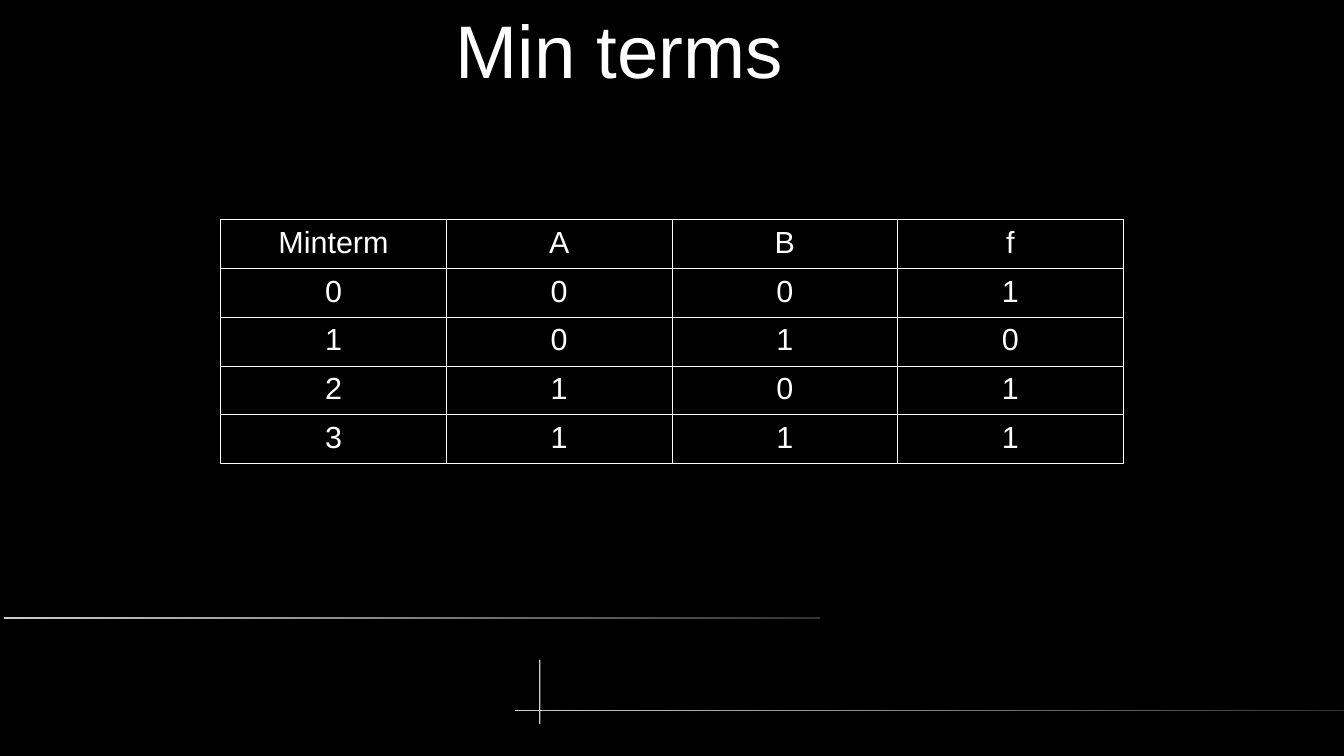
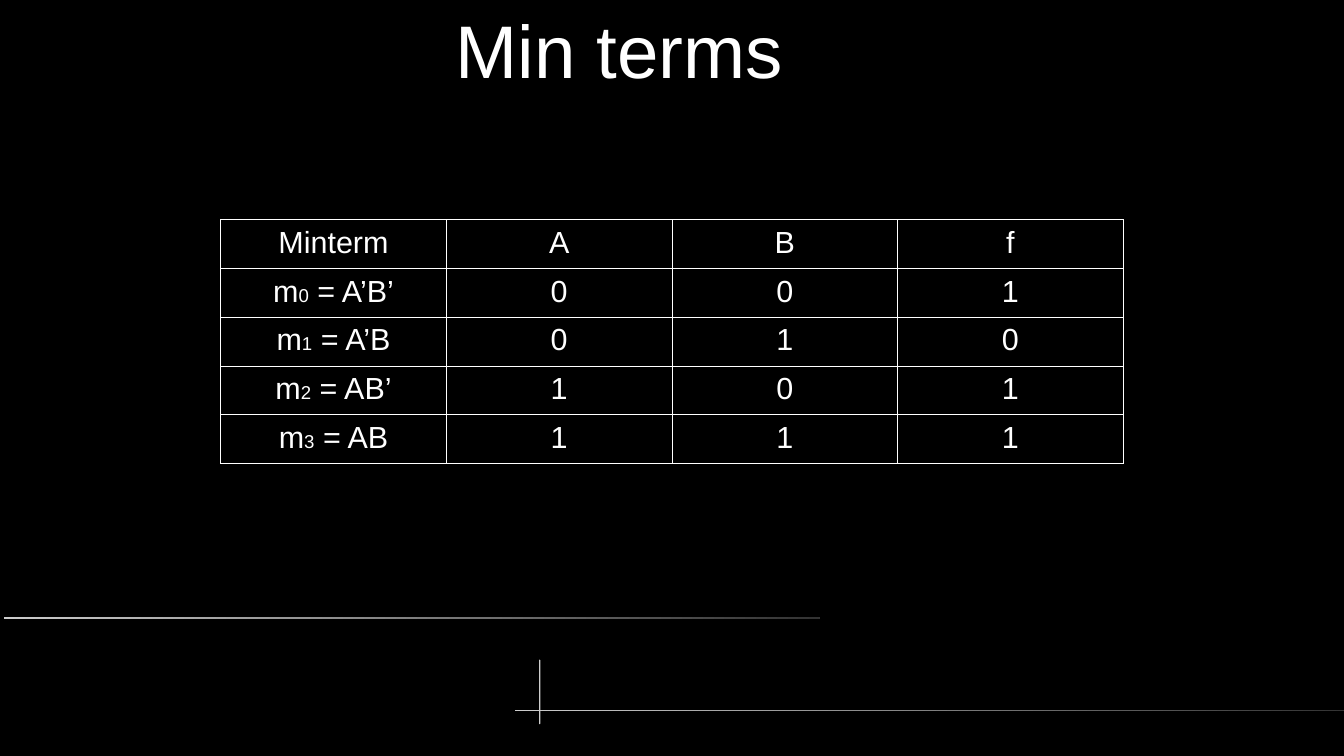
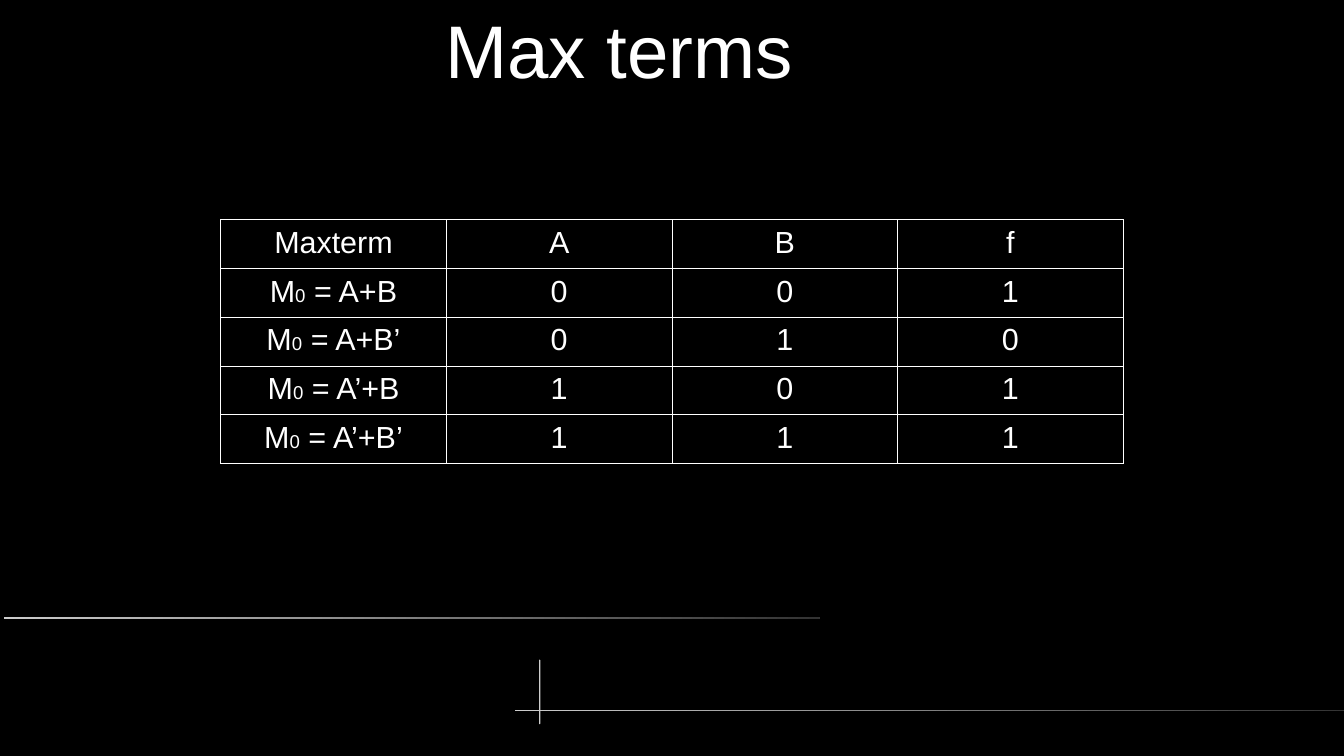
from pptx import Presentation
from pptx.dml.color import RGBColor
from pptx.enum.shapes import MSO_SHAPE
from pptx.enum.text import MSO_ANCHOR, PP_ALIGN
from pptx.oxml import parse_xml
from pptx.oxml.ns import nsdecls
from pptx.util import Inches, Pt

# Content: title, term heading, terms; a term is a list of runs, the second a small index
INPUTS = [("0", "0"), ("0", "1"), ("1", "0"), ("1", "1")]
OUTPUTS = ["1", "0", "1", "1"]
SLIDES = [
    ("Min terms", "Minterm", [["0"], ["1"], ["2"], ["3"]]),
    ("Min terms", "Minterm", [["m", "0", " = A’B’"], ["m", "1", " = A’B"],
                              ["m", "2", " = AB’"], ["m", "3", " = AB"]]),
    ("Max terms", "Maxterm", [["M", "0", " = A+B"], ["M", "0", " = A+B’"],
                              ["M", "0", " = A’+B"], ["M", "0", " = A’+B’"]]),
]

# Shared style
COLORS = {"back": "000000", "text": "FFFFFF", "bright": "CCCCCC", "dim": "333333"}
FONT = "Arial"
SIZES = {"title": 44, "cell": 18, "index": 11}
W, H = 11.02, 6.2
TITLE_BOX = (0.16, 0.04, 9.84, 0.72)
COL_W, ROW_H, TABLE_TOP = 1.85, 0.4, 1.8
BORDER_PT = 0.57
CELL_MARGINS = {"margin_left": 0.04, "margin_right": 0.04,
                "margin_top": 0.05, "margin_bottom": 0.05}
# Decorative bars: box, whether the bar fades to the right
BARS = [((0.03, 5.06, 6.69, 0.02), True),
        ((4.22, 5.82, 6.82, 0.01), True),
        ((4.42, 5.41, 0.01, 0.53), False)]


def rgb(name):
    return RGBColor.from_string(COLORS[name])


def inches(box):
    return [Inches(v) for v in box]


def write(tf, runs):
    """Fill a text frame with one centred paragraph of (text, size) runs."""
    p = tf.paragraphs[0]
    p.alignment = PP_ALIGN.CENTER
    for text, size in runs:
        r = p.add_run()
        r.text = text
        r.font.color.rgb = rgb("text")
        for name, value in {"name": FONT, "size": Pt(SIZES[size]), "bold": False}.items():
            setattr(r.font, name, value)


def add_bars(s):
    for box, fades in BARS:
        bar = s.shapes.add_shape(MSO_SHAPE.ROUNDED_RECTANGLE, *inches(box))
        bar.adjustments[0] = 0.5
        bar.shadow.inherit = False
        bar.line.fill.background()
        if fades:
            bar.fill.gradient()
            bar.fill.gradient_angle = 0
            for stop, color in zip(bar.fill.gradient_stops, ("bright", "dim")):
                stop.color.rgb = rgb(color)
        else:
            bar.fill.solid()
            bar.fill.fore_color.rgb = rgb("bright")


def add_title(s, title):
    tf = s.shapes.add_textbox(*inches(TITLE_BOX)).text_frame
    tf.word_wrap = True
    tf.vertical_anchor = MSO_ANCHOR.MIDDLE
    for side in CELL_MARGINS:
        setattr(tf, side, 0)
    write(tf, [(title, "title")])


def style_cell(cell):
    for side, value in CELL_MARGINS.items():
        setattr(cell, side, Inches(value))
    tc_pr = cell._tc.get_or_add_tcPr()
    for edge in ("lnL", "lnR", "lnT", "lnB"):
        tc_pr.append(parse_xml(
            f'<a:{edge} {nsdecls("a")} w="{Pt(BORDER_PT)}"><a:solidFill>'
            f'<a:srgbClr val="{COLORS["text"]}"/></a:solidFill></a:{edge}>'))
    cell.fill.background()


def add_truth_table(s, heading, terms):
    rows = [[[heading], ["A"], ["B"], ["f"]]]
    for term, (a, b), f in zip(terms, INPUTS, OUTPUTS):
        rows.append([term, [a], [b], [f]])
    n_rows, n_cols = len(rows), len(rows[0])
    width = n_cols * COL_W
    box = ((W - width) / 2, TABLE_TOP, width, n_rows * ROW_H)
    table = s.shapes.add_table(n_rows, n_cols, *inches(box)).table
    table.first_row = table.horz_banding = False
    for i, row in enumerate(rows):
        for j, texts in enumerate(row):
            cell = table.cell(i, j)
            style_cell(cell)
            write(cell.text_frame, zip(texts, ("cell", "index", "cell")))


def main():
    prs = Presentation()
    prs.slide_width, prs.slide_height = Inches(W), Inches(H)
    back = prs.slide_master.background.fill
    back.solid()
    back.fore_color.rgb = rgb("back")
    for title, heading, terms in SLIDES:
        s = prs.slides.add_slide(prs.slide_layouts[6])
        add_bars(s)
        add_title(s, title)
        add_truth_table(s, heading, terms)
    prs.save("out.pptx")


if __name__ == "__main__":
    main()
